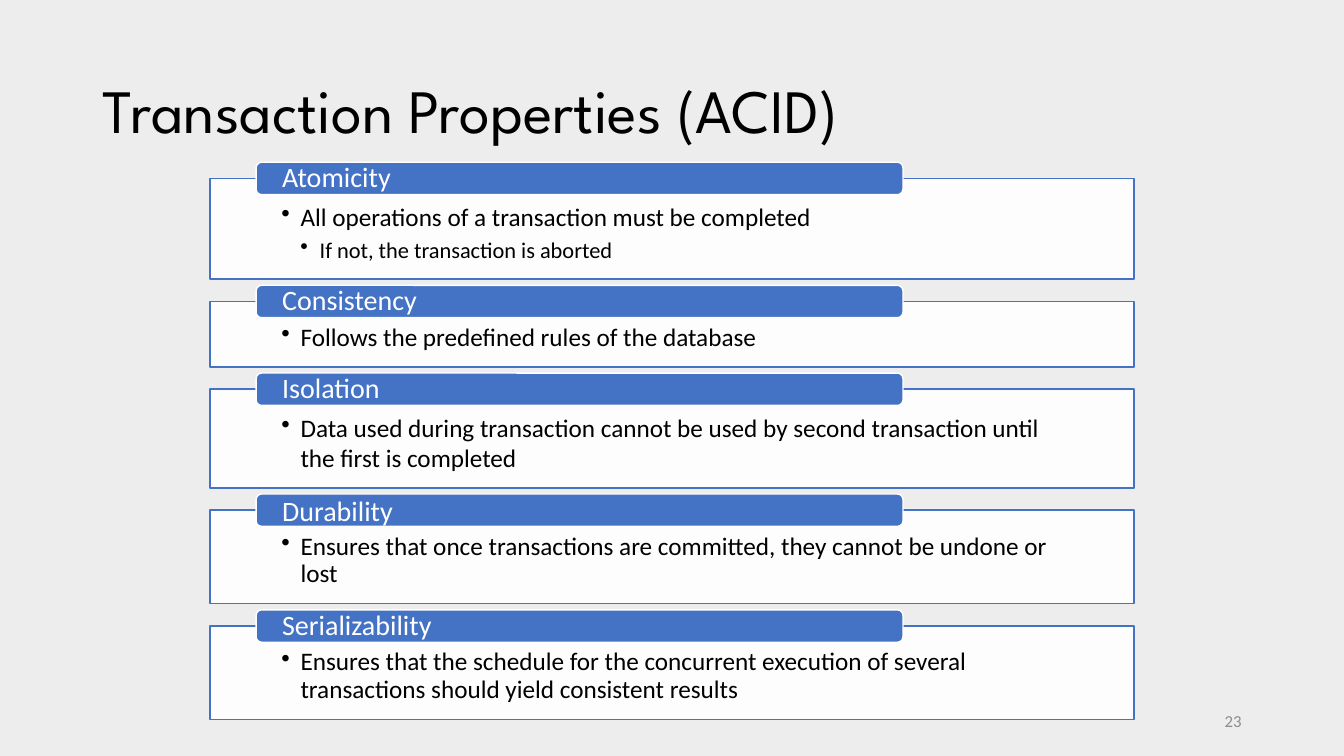
from dataclasses import dataclass

from lxml import etree
from pptx import Presentation
from pptx.dml.color import RGBColor
from pptx.enum.shapes import MSO_SHAPE
from pptx.enum.text import MSO_ANCHOR, PP_ALIGN
from pptx.oxml.ns import qn
from pptx.util import Inches, Pt

RECTANGLE, ROUNDED = MSO_SHAPE.RECTANGLE, MSO_SHAPE.ROUNDED_RECTANGLE
TOP, MIDDLE = MSO_ANCHOR.TOP, MSO_ANCHOR.MIDDLE
LEFT, RIGHT = PP_ALIGN.LEFT, PP_ALIGN.RIGHT

# The slide is a grid of 160 columns by 90 rows of square cells
COLUMNS, WIDTH, HEIGHT = 160, Inches(13.33), Inches(7.5)


@dataclass(frozen=True)
class Theme:
    background: str = "EDEDED"
    accent: str = "4472C4"
    paper: str = "FFFFFF"
    ink: str = "000000"
    muted: str = "8C8C8C"
    heading_font: str = "League Spartan"
    body_font: str = "Calibri"
    title_size: int = 44
    tab_size: int = 20
    bullet_sizes: tuple = (18, 16)
    number_size: int = 12


def cells(count):
    return round(count * WIDTH / COLUMNS)


def apply(target, values):
    for name, value in values.items():
        setattr(target, name, value)


class SlideBuilder:
    def __init__(self, page, theme):
        self.page, self.theme = page, theme
        page.background.fill.solid()
        page.background.fill.fore_color.rgb = RGBColor.from_string(theme.background)

    def frame(self, box, anchor, margins=None):
        """Set up wrapping; margins are left, top, right, bottom in cells."""
        values = {"word_wrap": True, "vertical_anchor": anchor}
        if margins:
            sides = ("left", "top", "right", "bottom")
            values |= {f"margin_{side}": cells(m) for side, m in zip(sides, margins)}
        apply(box.text_frame, values)
        return box.text_frame

    def add_text(self, para, text, size, color, font=None, **layout):
        apply(para, {"alignment": LEFT} | layout)
        span = para.add_run()
        span.text = text
        apply(span.font, {"name": font or self.theme.body_font, "size": Pt(size)})
        span.font.color.rgb = RGBColor.from_string(color)

    def label(self, area, text, size, color, **style):
        box = self.page.shapes.add_textbox(*map(cells, area))
        self.add_text(self.frame(box, MIDDLE).paragraphs[0], text, size, color, **style)

    def block(self, kind, area, fill, line, opacity=100):
        box = self.page.shapes.add_shape(kind, *map(cells, area))
        box.shadow.inherit = False
        box.fill.solid()
        box.fill.fore_color.rgb = RGBColor.from_string(fill)
        box.line.color.rgb = RGBColor.from_string(line)
        box.line.width = Pt(1)
        if opacity < 100:
            color = box.fill._xPr.find(".//" + qn("a:srgbClr"))
            etree.SubElement(color, qn("a:alpha"), val=str(opacity * 1000))
        return box

    def panel(self, area, bullets, spacing):
        theme = self.theme
        box = self.block(RECTANGLE, area, theme.paper, theme.accent, opacity=90)
        frame = self.frame(box, TOP, (8.5, 2.75, 8.5, 1.65))
        for depth, text in enumerate(bullets):
            para = frame.paragraphs[0] if depth == 0 else frame.add_paragraph()
            indent = Inches(0.19)
            properties = para._p.get_or_add_pPr()
            properties.set("marL", str(indent * (depth + 1)))
            properties.set("indent", str(-indent))
            etree.SubElement(properties, qn("a:buChar"), char="•")
            self.add_text(para, text, theme.bullet_sizes[depth], theme.ink,
                          level=depth + 1, line_spacing=spacing, space_after=Pt(3))

    def tab(self, area, text, spacing):
        theme = self.theme
        box = self.block(ROUNDED, area, theme.accent, theme.paper)
        frame = self.frame(box, MIDDLE, (2.9, 0, 2.9, 0))
        self.add_text(frame.paragraphs[0], text, theme.tab_size, theme.paper,
                      line_spacing=spacing)


# Name, panel height in rows, panel spacing, tab spacing, bullets by depth
PROPERTIES = [
    ("Atomicity", 12, 1.0, 0.9,
     ["All operations of a transaction must be completed",
      "If not, the transaction is aborted"]),
    ("Consistency", 7.8, 0.9, 0.9,
     ["Follows the predefined rules of the database"]),
    ("Isolation", 11.75, 1.0, 0.9,
     ["Data used during transaction cannot be used by second transaction "
      "until the first is completed"]),
    ("Durability", 11.15, 0.9, 1.0,
     ["Ensures that once transactions are committed, they cannot be undone or lost"]),
    ("Serializability", 11.15, 0.9, 0.9,
     ["Ensures that the schedule for the concurrent execution of several "
      "transactions should yield consistent results"]),
]
FIRST_ROW, GAP, TAB_HEIGHT = 21.25, 2.65, 3.85


def main():
    deck = Presentation()
    apply(deck, {"slide_width": WIDTH, "slide_height": HEIGHT})
    theme = Theme()
    builder = SlideBuilder(deck.slides.add_slide(deck.slide_layouts[6]), theme)

    # Title
    builder.label((11, 4.8, 138, 17.4), "Transaction Properties (ACID)",
                  theme.title_size, theme.ink, font=theme.heading_font,
                  line_spacing=0.9)

    # Stack of panels, each with a tab centred on its top edge
    row = FIRST_ROW
    for name, height, panel_spacing, tab_spacing, bullets in PROPERTIES:
        builder.panel((25, row, 110, height), bullets, panel_spacing)
        builder.tab((30.5, row - TAB_HEIGHT / 2, 77, TAB_HEIGHT), name, tab_spacing)
        row += height + GAP

    # Slide number
    builder.label((113, 83.4, 36, 4.8), "23", theme.number_size, theme.muted,
                  alignment=RIGHT)

    deck.save("out.pptx")


if __name__ == "__main__":
    main()
